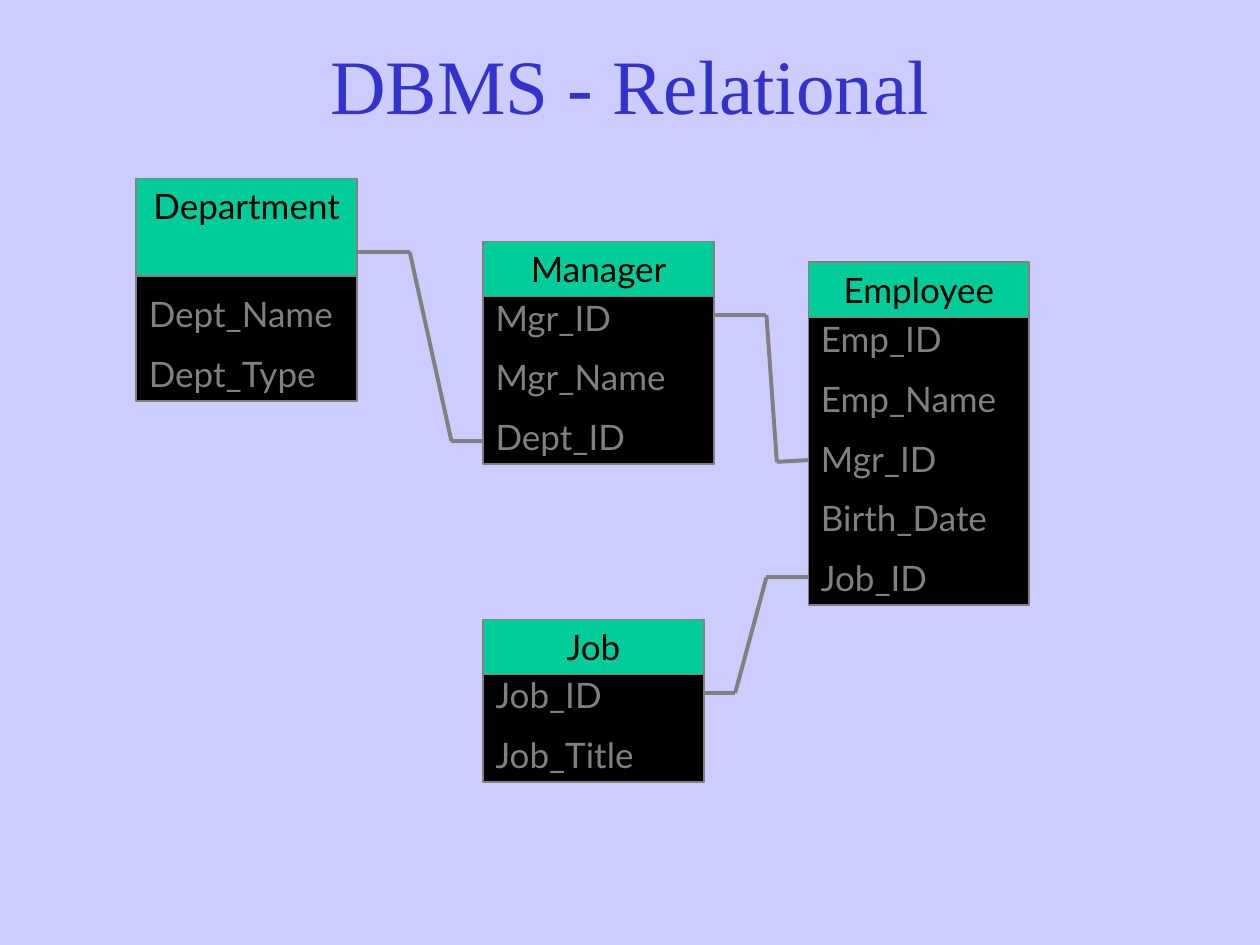
from dataclasses import dataclass
from itertools import pairwise

from pptx import Presentation
from pptx import util as u
from pptx.dml.color import RGBColor as Rgb
from pptx.enum import shapes, text
from pptx.oxml.ns import qn
from lxml import etree

Cm, Pt = u.Cm, u.Pt


@dataclass(frozen=True)
class Theme:
    back: Rgb = Rgb(0xCC, 0xCC, 0xFF)
    title: Rgb = Rgb(0x33, 0x33, 0xCC)
    head: Rgb = Rgb(0x00, 0xCC, 0x99)
    body: Rgb = Rgb(0, 0, 0)
    ink: Rgb = Rgb(0, 0, 0)
    gray: Rgb = Rgb(0x80, 0x80, 0x80)
    serif: str = "Times New Roman"
    sans: str = "Lato"
    big: int = 44
    small: int = 20
    edge: float = 1
    link: float = 2.25


THEME = Theme()
LEFT, CENTER = text.PP_ALIGN.LEFT, text.PP_ALIGN.CENTER
TOP, MIDDLE, BOTTOM = (text.MSO_ANCHOR.TOP, text.MSO_ANCHOR.MIDDLE,
                       text.MSO_ANCHOR.BOTTOM)

# name, left, top, width, head height, rows of body height, fields
TABLES = [
    ("Department", 2.75, 3.6, 4.45, 1.96, 3, ["Dept_Name", "Dept_Type"]),
    ("Manager", 9.74, 4.87, 4.66, 1.11, 3, ["Mgr_ID", "Mgr_Name", "Dept_ID"]),
    ("Employee", 16.3, 5.29, 4.45, 1.11, 5,
     ["Emp_ID", "Emp_Name", "Mgr_ID", "Birth_Date", "Job_ID"]),
    ("Job", 9.74, 12.49, 4.45, 1.11, 2, ["Job_ID", "Job_Title"]),
]
DROP = 1.06  # from the top of a head to the top of its body
ROW = 1.21

LINKS = {
    "dept": [(7.2, 5.08), (8.26, 5.08), (9.1, 8.89), (9.74, 8.89)],
    "mgr": [(14.4, 6.35), (15.45, 6.35), (15.66, 9.31), (16.3, 9.31)],
    "job": [(14.19, 13.97), (14.82, 13.97), (15.45, 11.64), (16.3, 11.64)],
}


def write(frame, lines, font, size, color, align, anchor):
    frame.word_wrap = True
    frame.vertical_anchor = anchor
    for i, line in enumerate(lines):
        para = frame.paragraphs[0] if i == 0 else frame.add_paragraph()
        para.alignment = align
        if i:
            para.space_before = Pt(12.5)
        run = para.add_run()
        run.text = line
        run.font.name = font
        run.font.size = Pt(size)
        run.font.color.rgb = color


def add_title(slide, words):
    box = slide.shapes.add_textbox(Cm(1.9), Cm(0.64), Cm(21.6), Cm(2.11))
    write(box.text_frame, [words], THEME.serif, THEME.big, THEME.title,
          CENTER, MIDDLE)


def add_box(group, left, top, width, height, fill):
    box = group.shapes.add_shape(shapes.MSO_SHAPE.RECTANGLE, Cm(left), Cm(top),
                                 Cm(width), Cm(height))
    box.shadow.inherit = False
    box.fill.solid()
    box.fill.fore_color.rgb = fill
    box.line.color.rgb = THEME.gray
    box.line.width = Pt(THEME.edge)
    return box


def add_entity(slide, name, left, top, width, tall, rows, fields):
    """Draw a table's fields with its head on top; return the body."""
    group = slide.shapes.add_group_shape()
    body = add_box(group, left, top + DROP, width, ROW * rows - 0.2, THEME.body)
    write(body.text_frame, fields, THEME.sans, THEME.small, THEME.gray,
          LEFT, BOTTOM)
    for para in body.text_frame.paragraphs:
        para.line_spacing = 0.9
    head = add_box(group, left, top, width, tall, THEME.head)
    write(head.text_frame, [name], THEME.sans, THEME.small, THEME.ink,
          CENTER, TOP)
    return body


def add_link(slide, points):
    """Draw a line through the points; return its last piece."""
    for (x1, y1), (x2, y2) in pairwise(points):
        line = slide.shapes.add_connector(shapes.MSO_CONNECTOR.STRAIGHT,
                                          Cm(x1), Cm(y1), Cm(x2), Cm(y2))
        line.line.color.rgb = THEME.gray
        line.line.width = Pt(THEME.link)
        etree.SubElement(line._element.spPr, qn("a:effectLst"))
    return line


def main():
    deck = Presentation()
    deck.slide_width, deck.slide_height = Cm(25.4), Cm(19.05)
    slide = deck.slides.add_slide(deck.slide_layouts[6])
    slide.background.fill.solid()
    slide.background.fill.fore_color.rgb = THEME.back
    add_title(slide, "DBMS - Relational")
    bodies = {row[0]: add_entity(slide, *row) for row in TABLES}
    ends = {key: add_link(slide, points) for key, points in LINKS.items()}
    ends["mgr"].end_connect(bodies["Employee"], 1)
    deck.save("out.pptx")


if __name__ == "__main__":
    main()
